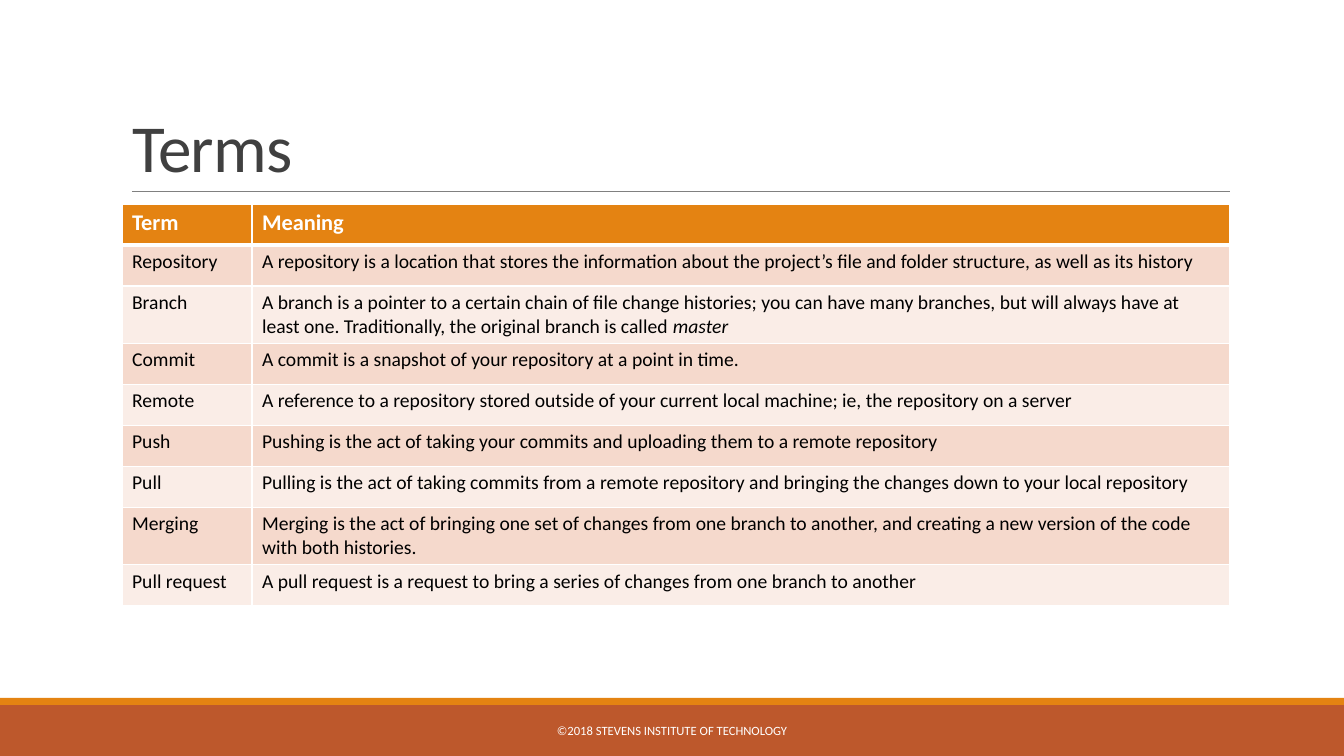
from lxml.etree import SubElement
from pptx import Presentation
from pptx.dml.color import RGBColor
from pptx.enum.shapes import MSO_CONNECTOR, MSO_SHAPE
from pptx.enum.text import MSO_ANCHOR, MSO_AUTO_SIZE, PP_ALIGN
from pptx.oxml.ns import qn
from pptx.util import Emu, Pt

FONT = "Calibri"
ORANGE, RUST, WHITE = "E48312", "BD582C", "FFFFFF"
BANDS = ("F5D9CC", "FAEDE7")
TERMS = [
    ("Repository", ["A repository is a location that stores the information about the "
                    "project’s file and folder structure, as well as its history"]),
    ("Branch", ["A branch is a pointer to a certain chain of file change histories; you can "
                "have many branches, but will always have at least one. Traditionally, the "
                "original branch is called ", "master"]),
    ("Commit", ["A commit is a snapshot of your repository at a point in time."]),
    ("Remote", ["A reference to a repository stored outside of your current local machine; "
                "ie, the repository on a server"]),
    ("Push", ["Pushing is the act of taking your commits and uploading them to a remote "
              "repository"]),
    ("Pull", ["Pulling is the act of taking commits from a remote repository and bringing the "
              "changes down to your local repository"]),
    ("Merging", ["Merging is the act of bringing one set of changes from one branch to "
                 "another, and creating a new version of the code with both histories."]),
    ("Pull request", ["A pull request is a request to bring a series of changes from one "
                      "branch to another"]),
]


def px(n):
    """Turn pixels into EMU."""
    return Emu(round(n * 914400 / 100.8))


def rgb(value):
    """Turn a hex string into a colour."""
    return RGBColor.from_string(value)


def add_run(p, text, size, color, bold=False, italic=False):
    """Add one formatted run to a paragraph."""
    r = p.add_run()
    r.text = text
    r.font.name, r.font.size = FONT, Pt(size)
    r.font.bold, r.font.italic = bold, italic
    r.font.color.rgb = rgb(color)
    return r


def add_bar(s, x, y, w, h, color):
    """Add a plain filled bar."""
    sp = s.shapes.add_shape(MSO_SHAPE.RECTANGLE, px(x), px(y), px(w), px(h))
    sp.shadow.inherit = False
    sp.fill.solid()
    sp.fill.fore_color.rgb = rgb(color)
    sp.line.fill.background()


def add_footer(s, x, y, w, h):
    """Place the two footer bars and the copyright line."""
    stripe = 7
    add_bar(s, x, y + stripe, w, h - stripe, RUST)
    add_bar(s, x, y, w, stripe, ORANGE)
    box_w = 532
    sp = s.shapes.add_textbox(px(x + (w - box_w) / 2), px(y + 13), px(box_w), px(40))
    tf = sp.text_frame
    tf.word_wrap = True
    tf.vertical_anchor = MSO_ANCHOR.MIDDLE
    p = tf.paragraphs[0]
    p.alignment = PP_ALIGN.CENTER
    add_run(p, "©2018 STEVENS INSTITUTE OF TECHNOLOGY", 9, WHITE)


def add_title(s, x, y, w, h):
    """Place the title with the rule along its lower edge."""
    sp = s.shapes.title
    sp.left, sp.top, sp.width, sp.height = px(x), px(y), px(w), px(h)
    tf = sp.text_frame
    tf.word_wrap = True
    tf.auto_size = MSO_AUTO_SIZE.NONE
    tf.vertical_anchor = MSO_ANCHOR.BOTTOM
    p = tf.paragraphs[0]
    p.alignment = PP_ALIGN.LEFT
    p.line_spacing = 0.85
    r = add_run(p, "Terms", 48, "404040")
    r.font._element.set("spc", "-50")
    rule = s.shapes.add_connector(MSO_CONNECTOR.STRAIGHT, px(x + 10), px(y + h),
                                  px(x + w), px(y + h))
    rule.line.color.rgb = rgb("808080")
    rule.line.width = Pt(0.5)
    SubElement(rule._element.spPr, qn("a:effectLst"))


def set_borders(cell, top, bottom):
    """Give a cell white borders with the given top and bottom widths."""
    tcPr = cell._tc.get_or_add_tcPr()
    for side, width in (("L", 1), ("R", 1), ("T", top), ("B", bottom)):
        ln = SubElement(tcPr, qn(f"a:ln{side}"), w=str(Pt(width)))
        fill = SubElement(ln, qn("a:solidFill"))
        SubElement(fill, qn("a:srgbClr"), val=WHITE)


def add_terms_table(s, x, y, w, row_h, term_w):
    """Place the banded table of terms under its header row."""
    rows = [("Term", ["Meaning"])] + TERMS
    table = s.shapes.add_table(len(rows), 2, px(x), px(y), px(w),
                               px(row_h * len(rows))).table
    table.columns[0].width, table.columns[1].width = px(term_w), px(w - term_w)
    for i, (term, meaning) in enumerate(rows):
        table.rows[i].height = px(row_h)
        header = i == 0
        size, color = (16, WHITE) if header else (14, "000000")
        for j, parts in enumerate(([term], meaning)):
            cell = table.cell(i, j)
            set_borders(cell, 3 if i == 1 else 1, 3 if header else 1)
            cell.fill.solid()
            cell.fill.fore_color.rgb = rgb(ORANGE if header else BANDS[(i - 1) % 2])
            p = cell.text_frame.paragraphs[0]
            for k, part in enumerate(parts):
                add_run(p, part, size, color, bold=header, italic=k == 1)


def main():
    """Build the slide and save it."""
    prs = Presentation()
    prs.slide_width, prs.slide_height = px(1344), px(756)
    s = prs.slides.add_slide(prs.slide_layouts[5])
    add_footer(s, 0, 698, 1344, 58)
    add_title(s, 122, 31, 1108, 160)
    add_terms_table(s, 122, 204, 1108, 41, 130)
    prs.save("out.pptx")


if __name__ == "__main__":
    main()
